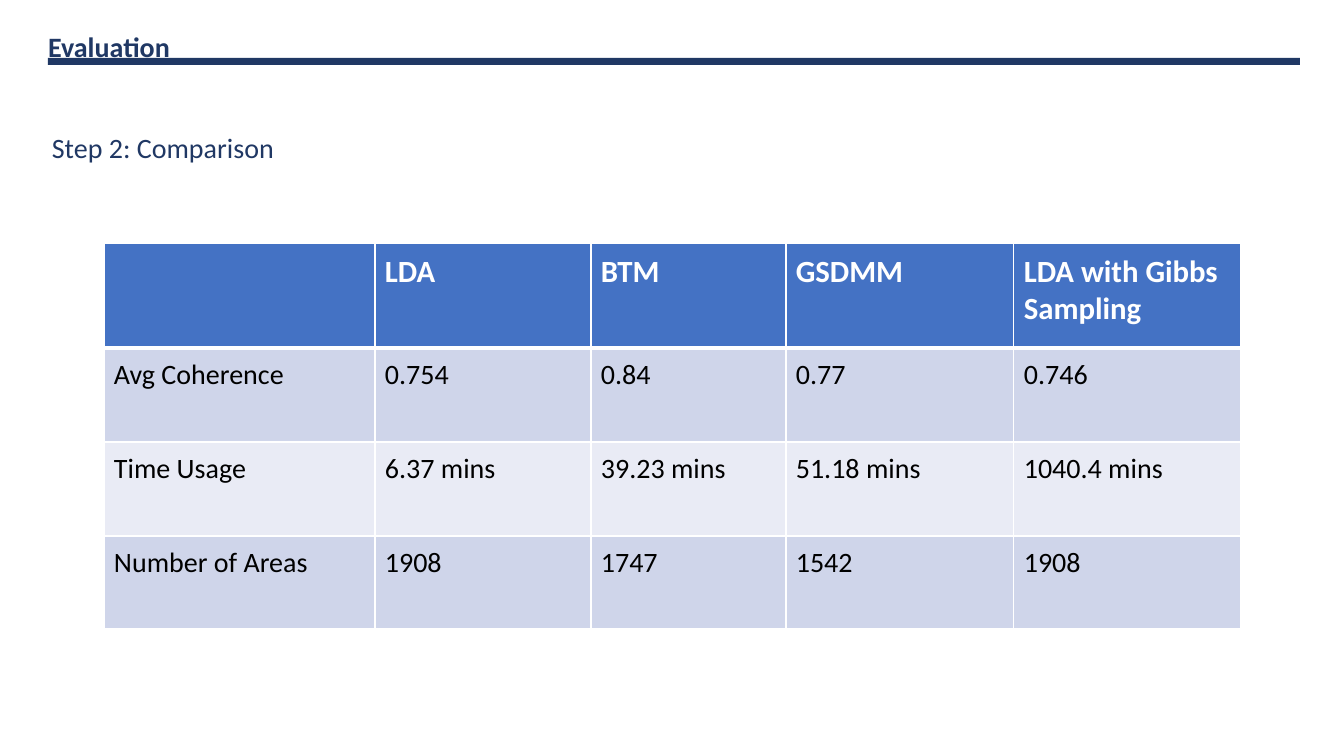
from lxml.etree import SubElement
from pptx import Presentation
from pptx.dml.color import RGBColor
from pptx.enum.shapes import MSO_SHAPE
from pptx.enum.text import MSO_ANCHOR, MSO_AUTO_SIZE, PP_ALIGN
from pptx.oxml.ns import qn
from pptx.util import Emu, Pt

NAVY = RGBColor(0x20, 0x38, 0x64)
BLUE = RGBColor(0x44, 0x72, 0xC4)
DARK_BAND = RGBColor(0xCF, 0xD5, 0xEA)
LIGHT_BAND = RGBColor(0xE9, 0xEB, 0xF5)
WHITE = RGBColor(0xFF, 0xFF, 0xFF)
BLACK = RGBColor(0, 0, 0)

COLUMN_WIDTHS = [271, 216, 195, 228, 227]
ROW_HEIGHTS = [105, 94, 94, 93]
ROW_FILLS = [BLUE, DARK_BAND, LIGHT_BAND, DARK_BAND]
RESULTS = [
    ["", "LDA", "BTM", "GSDMM", "LDA with Gibbs Sampling"],
    ["Avg Coherence", "0.754", "0.84", "0.77", "0.746"],
    ["Time Usage", "6.37 mins", "39.23 mins", "51.18 mins", "1040.4 mins"],
    ["Number of Areas", "1908", "1747", "1542", "1908"],
]


def px(length):
    return Emu(round(length * 914400 / 100.8))


def write(frame, text, size, color, bold):
    frame.text = text
    paragraph = frame.paragraphs[0]
    paragraph.alignment = PP_ALIGN.LEFT
    for span in paragraph.runs:
        span.font.name = "Calibri"
        span.font.size = Pt(size)
        span.font.bold = bold
        span.font.color.rgb = color


deck = Presentation()
deck.slide_width, deck.slide_height = px(1344), px(756)
page = deck.slides.add_slide(deck.slide_layouts[5])

title = page.shapes.title
title.left, title.top, title.width, title.height = px(38), px(24), px(819), px(34)
subtitle = page.shapes.add_textbox(px(42), px(126), px(554), px(56))
for box, text, bold in [(title, "Evaluation", True), (subtitle, "Step 2: Comparison", False)]:
    frame = box.text_frame
    frame.word_wrap = False
    frame.auto_size = MSO_AUTO_SIZE.NONE
    frame.vertical_anchor = MSO_ANCHOR.TOP
    write(frame, text, 20, NAVY, bold)

rule = page.shapes.add_shape(MSO_SHAPE.RECTANGLE, px(48), px(58), px(1252), px(7))
rule.shadow.inherit = False
rule.fill.solid()
rule.fill.fore_color.rgb = NAVY
rule.line.fill.background()

table = page.shapes.add_table(
    len(RESULTS), len(COLUMN_WIDTHS), px(104), px(243),
    px(sum(COLUMN_WIDTHS)), px(sum(ROW_HEIGHTS))).table
for column, width in zip(table.columns, COLUMN_WIDTHS):
    column.width = px(width)
for row, height in zip(table.rows, ROW_HEIGHTS):
    row.height = px(height)

for row_index, values in enumerate(RESULTS):
    header = row_index == 0
    for column_index, value in enumerate(values):
        cell = table.cell(row_index, column_index)
        cell.margin_left = cell.margin_right = px(10)
        cell.margin_top = cell.margin_bottom = px(10)
        write(cell.text_frame, value, 22 if header else 20, WHITE if header else BLACK, header)
        properties = cell._tc.get_or_add_tcPr()
        for side in ["lnL", "lnR", "lnT", "lnB"]:
            thick = (row_index, side) in [(0, "lnB"), (1, "lnT")]
            border = SubElement(properties, qn("a:" + side), w=str(Pt(3 if thick else 1)))
            paint = SubElement(border, qn("a:solidFill"))
            SubElement(paint, qn("a:srgbClr"), val=str(WHITE))
        cell.fill.solid()
        cell.fill.fore_color.rgb = ROW_FILLS[row_index]

deck.save("out.pptx")
